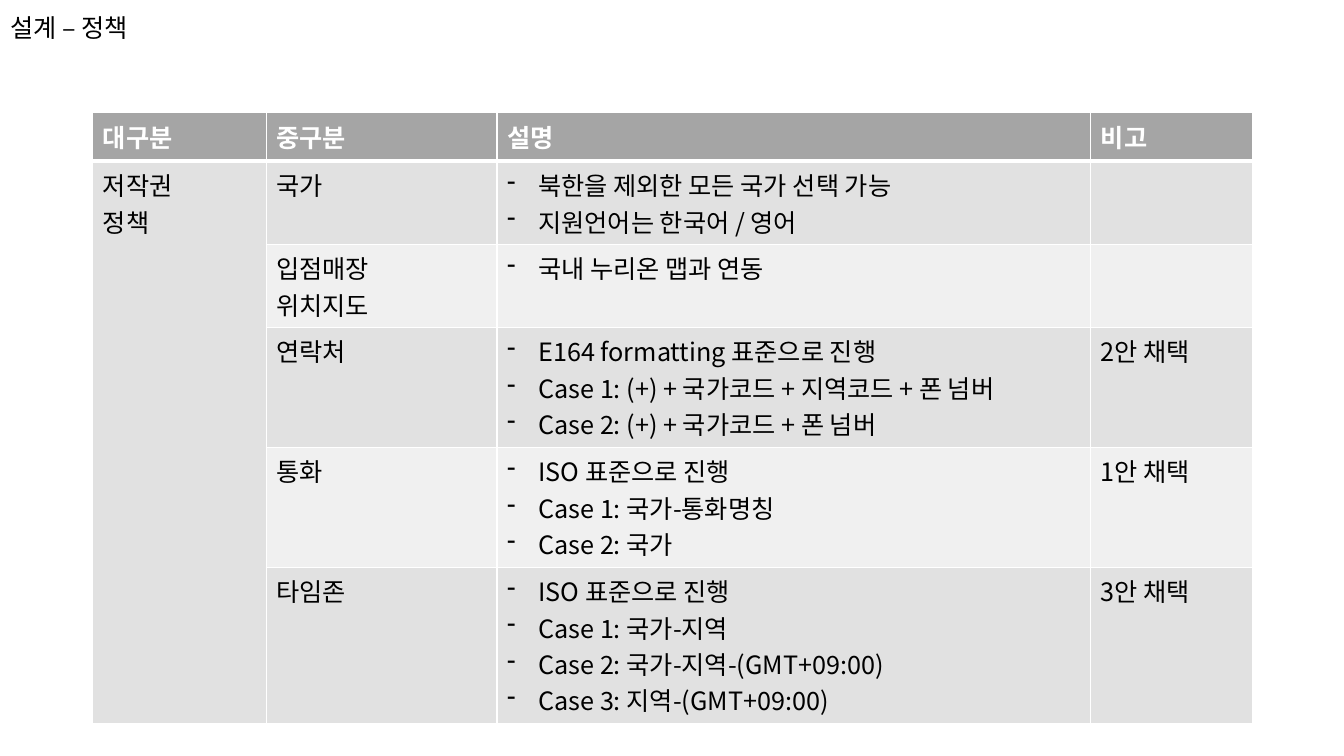
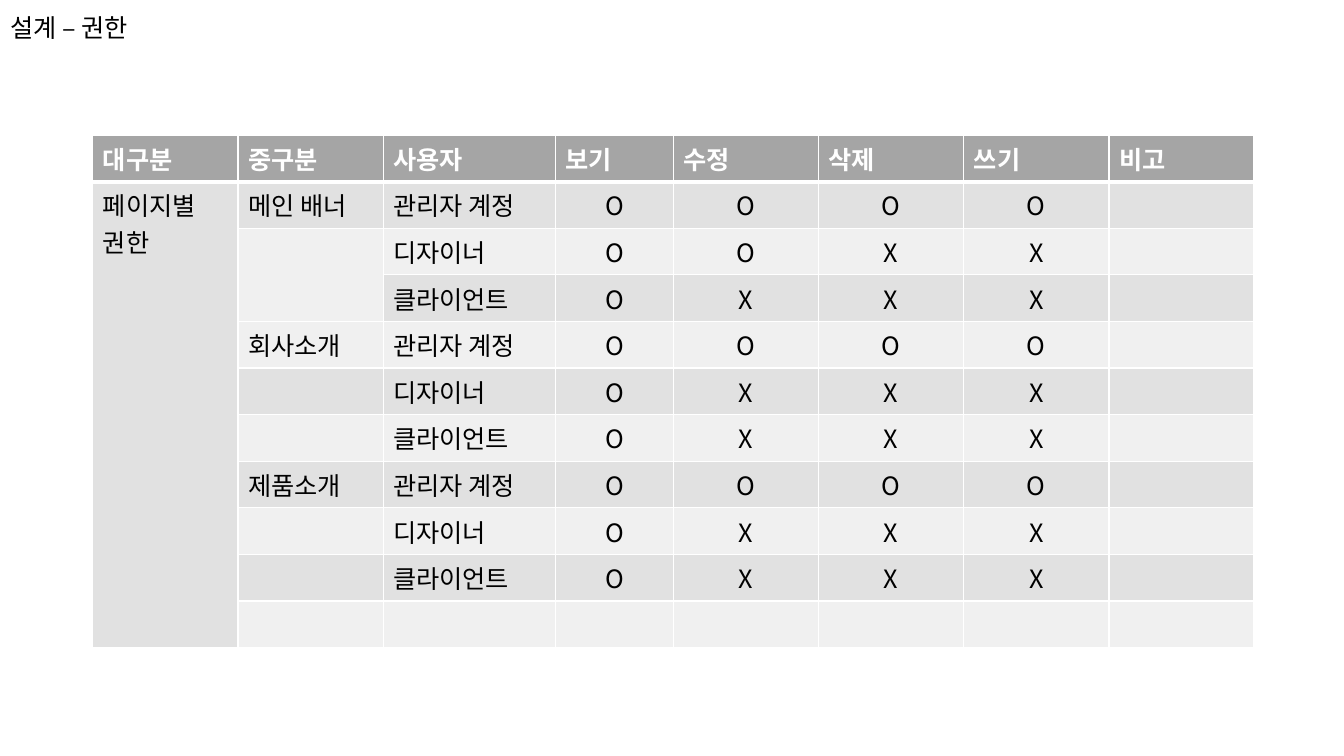
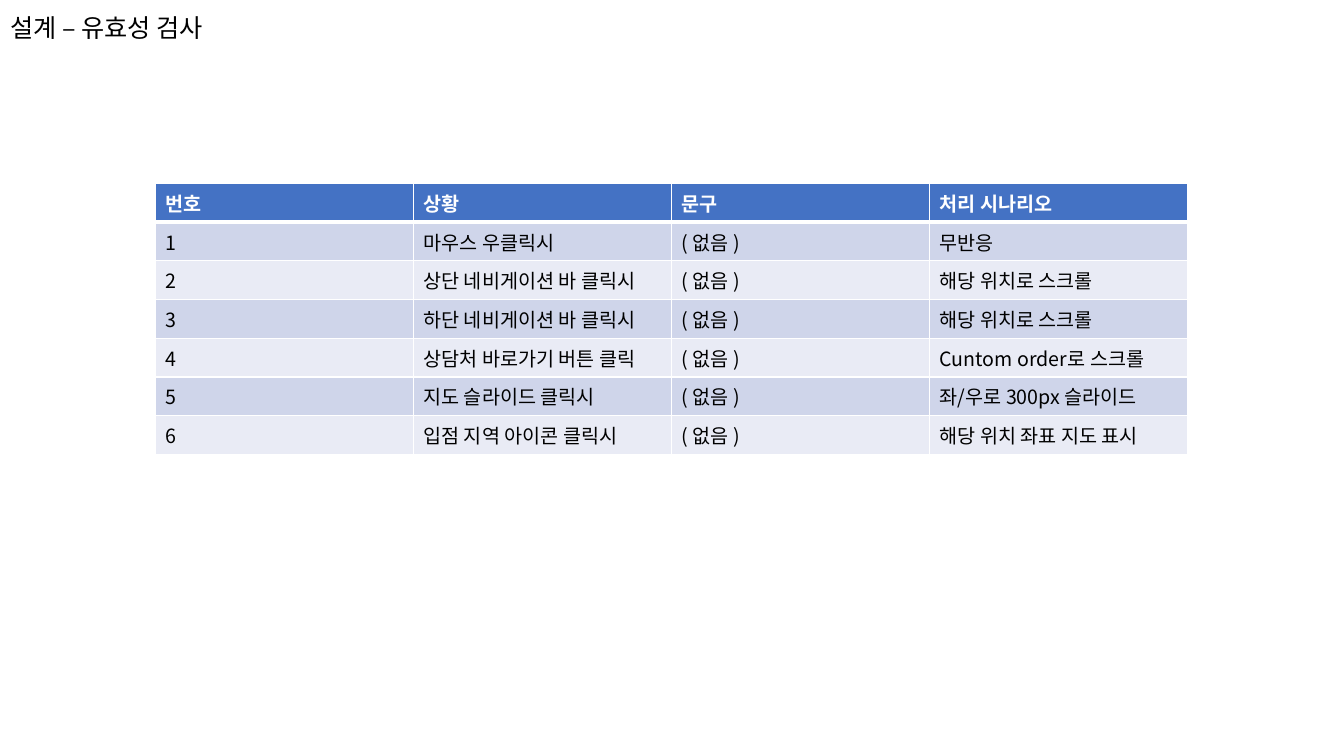
from lxml import etree
from pptx import Presentation
from pptx.dml.color import RGBColor
from pptx.enum.text import MSO_ANCHOR, MSO_AUTO_SIZE, PP_ALIGN
from pptx.oxml.ns import qn
from pptx.util import Inches, Pt

LEFT, MID = PP_ALIGN.LEFT, PP_ALIGN.CENTER
CENTER_V, FIXED = MSO_ANCHOR.MIDDLE, MSO_AUTO_SIZE.NONE
FONT = "Noto Sans CJK KR"
BLACK, WHITE = "000000", "FFFFFF"
# Header fill, then the two band fills
GRAY = ("A5A5A5", "E1E1E1", "F0F0F0")
BLUE = ("4472C4", "CFD5EA", "E9EBF5")


def color(code):
    return RGBColor.from_string(code)


def write(frame, text, size=18, ink=BLACK, bold=False, align=LEFT,
          dash=False, space=None):
    """Put each line of text in its own formatted paragraph."""
    for i, line in enumerate(text.split("\n")):
        para = frame.add_paragraph() if i else frame.paragraphs[0]
        para.alignment = align
        if space:
            para.line_spacing = space
        if dash:
            props = para._p.get_or_add_pPr()
            props.set("marL", str(Inches(0.31)))
            props.set("indent", str(-Inches(0.31)))
            etree.SubElement(props, qn("a:buChar")).set("char", "-")
        if not line:
            continue
        run = para.add_run()
        run.text = line
        font = run.font
        font.name, font.size, font.bold = FONT, Pt(size), bold
        font.color.rgb = color(ink)
        east = etree.SubElement(run._r.get_or_add_rPr(), qn("a:ea"))
        east.set("typeface", FONT)


def border(cell, **widths):
    """Draw white cell edges; keys are L, R, T and B in that order."""
    props = cell._tc.get_or_add_tcPr()
    for side, width in widths.items():
        line = etree.SubElement(props, qn("a:ln" + side))
        line.set("w", str(Pt(width)))
        fill = etree.SubElement(line, qn("a:solidFill"))
        etree.SubElement(fill, qn("a:srgbClr")).set("val", WHITE)


class Deck:
    def __init__(self):
        self.prs = Presentation()
        self.prs.slide_width = Inches(13.33)
        self.prs.slide_height = Inches(7.5)
        self.slide = None

    def page(self, title):
        self.slide = self.prs.slides.add_slide(self.prs.slide_layouts[5])
        box = self.slide.shapes.title
        box.left = box.top = Inches(0)
        box.width, box.height = Inches(3.95), Inches(0.59)
        frame = box.text_frame
        frame.auto_size, frame.vertical_anchor = FIXED, CENTER_V
        frame.word_wrap = True
        write(frame, title, space=0.9)

    def table(self, left, top, cols, highs, rows, tones, size=18,
              dashes=(), mids=(), spans=()):
        """Spans hold (column, first row, last row)."""
        shape = self.slide.shapes.add_table(
            len(rows), len(cols), Inches(left), Inches(top),
            Inches(sum(cols)), Inches(sum(highs)))
        grid = shape.table
        for col, width in zip(grid.columns, cols):
            col.width = Inches(width)
        for row, high in zip(grid.rows, highs):
            row.height = Inches(high)
        for r, row in enumerate(rows):
            head = r == 0
            tone = tones[0] if head else tones[2 - r % 2]
            for c, text in enumerate(row):
                cell = grid.cell(r, c)
                border(cell, L=1, R=1, T=3 if r == 1 else 1,
                       B=3 if head else 1)
                cell.fill.solid()
                cell.fill.fore_color.rgb = color(tone)
                write(cell.text_frame, text, size=size, bold=head,
                      ink=WHITE if head else BLACK,
                      dash=not head and c in dashes,
                      align=MID if not head and c in mids else LEFT)
        for c, first, last in spans:
            grid.cell(first, c).merge(grid.cell(last, c))


def main():
    deck = Deck()

    # Policy
    deck.page("설계 – 정책")
    rows = [
        ("대구분", "중구분", "설명", "비고"),
        ("저작권\n정책", "국가",
         "북한을 제외한 모든 국가 선택 가능\n지원언어는 한국어 / 영어", ""),
        ("", "입점매장\n위치지도", "국내 누리온 맵과 연동", ""),
        ("", "연락처",
         "E164 formatting 표준으로 진행\n"
         "Case 1: (+) + 국가코드 + 지역코드 + 폰 넘버\n"
         "Case 2: (+) + 국가코드 + 폰 넘버", "2안 채택"),
        ("", "통화",
         "ISO 표준으로 진행\nCase 1: 국가-통화명칭\nCase 2: 국가", "1안 채택"),
        ("", "타임존",
         "ISO 표준으로 진행\nCase 1: 국가-지역\n"
         "Case 2: 국가-지역-(GMT+09:00)\nCase 3: 지역-(GMT+09:00)",
         "3안 채택"),
    ]
    deck.table(0.92, 1.12, (1.72, 2.29, 5.89, 1.6),
               (0.48, 0.82, 0.82, 1.19, 1.19, 1.54), rows, GRAY,
               dashes=(2,), spans=[(0, 1, 5)])

    # Access rights: view, edit, delete, write
    deck.page("설계 – 권한")
    rows = [("대구분", "중구분", "사용자", "보기", "수정", "삭제", "쓰기", "비고")]
    users = ("관리자 계정", "디자이너", "클라이언트")
    pages = {
        "메인 배너": ("OOOO", "OOXX", "OXXX"),
        "회사소개": ("OOOO", "OXXX", "OXXX"),
        "제품소개": ("OOOO", "OXXX", "OXXX"),
    }
    for name, rights in pages.items():
        for i, (user, marks) in enumerate(zip(users, rights)):
            area = "페이지별\n권한" if len(rows) == 1 else ""
            rows.append((area, "" if i else name, user, *marks, ""))
    rows.append(("",) * 8)
    deck.table(0.92, 1.34, (1.44, 1.44, 1.71, 1.17) + (1.44,) * 4,
               (0.46,) * 11, rows, GRAY, mids=range(3, 7),
               spans=[(0, 1, 10), (1, 2, 3)])

    # Validation
    deck.page("설계 – 유효성 검사")
    cases = [
        ("마우스 우클릭시", "무반응"),
        ("상단 네비게이션 바 클릭시", "해당 위치로 스크롤"),
        ("하단 네비게이션 바 클릭시", "해당 위치로 스크롤"),
        ("상담처 바로가기 버튼 클릭", "Cuntom order로 스크롤"),
        ("지도 슬라이드 클릭시", "좌/우로 300px 슬라이드"),
        ("입점 지역 아이콘 클릭시", "해당 위치 좌표 지도 표시"),
    ]
    rows = [("번호", "상황", "문구", "처리 시나리오")]
    for i, (event, action) in enumerate(cases, 1):
        rows.append((str(i), event, "( 없음 )", action))
    deck.table(1.54, 1.82, (2.56,) * 4, (0.38,) * 7, rows, BLUE, size=14)

    deck.prs.save("out.pptx")


if __name__ == "__main__":
    main()
